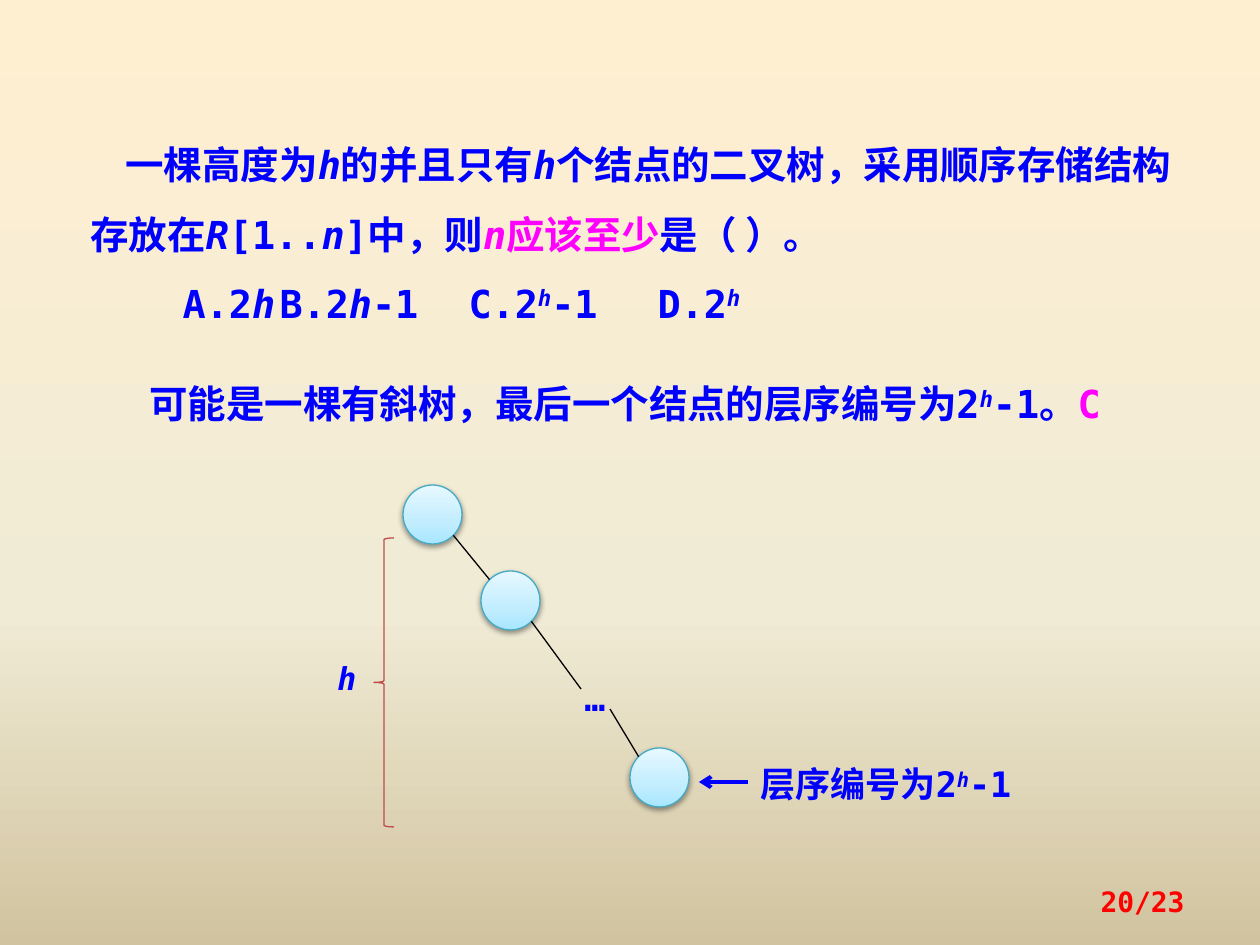
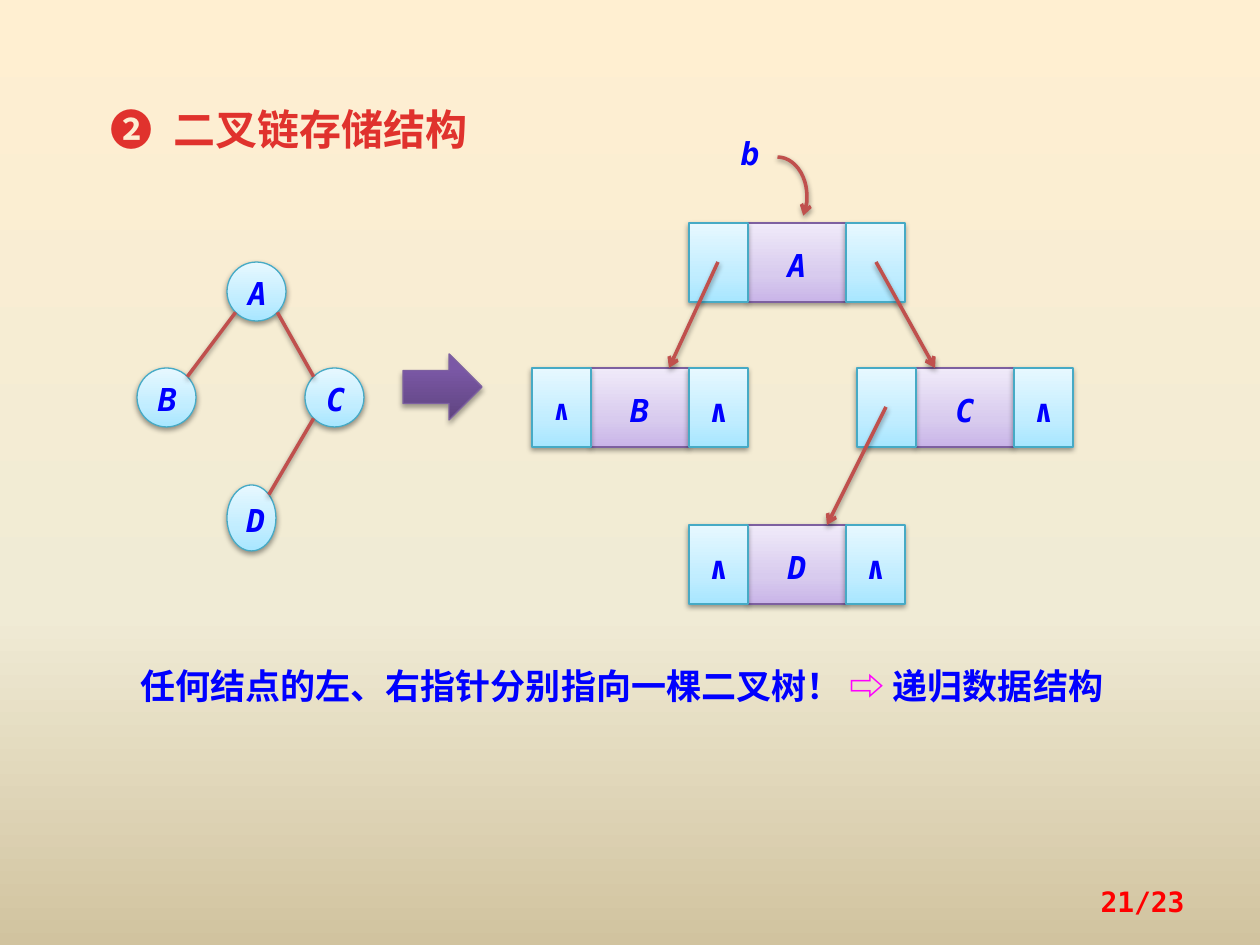
from lxml import etree
from pptx import Presentation
from pptx.dml.color import RGBColor
from pptx.enum.shapes import MSO_CONNECTOR, MSO_SHAPE
from pptx.enum.text import MSO_ANCHOR, MSO_AUTO_SIZE, PP_ALIGN
from pptx.oxml.ns import qn
from pptx.util import Pt

PIXEL = 914400 / 126
FONT = "DejaVu Sans Mono"
STRAIGHT = MSO_CONNECTOR.STRAIGHT
OVAL, RECTANGLE = MSO_SHAPE.OVAL, MSO_SHAPE.RECTANGLE
LEFT, CENTER, RIGHT = PP_ALIGN.LEFT, PP_ALIGN.CENTER, PP_ALIGN.RIGHT
TOP, MIDDLE = MSO_ANCHOR.TOP, MSO_ANCHOR.MIDDLE

BLUE = RGBColor(0x00, 0x00, 0xFF)
MAGENTA = RGBColor(0xFF, 0x00, 0xFF)
RED = RGBColor(0xFF, 0x00, 0x00)
TITLE_RED = RGBColor(0xE0, 0x32, 0x2D)
BRICK = RGBColor(0xC0, 0x50, 0x4D)
BRACE_RED = RGBColor(0xBF, 0x4C, 0x48)
BLACK = RGBColor(0x00, 0x00, 0x00)
CYAN = RGBColor(0x46, 0xAA, 0xC5)
PURPLE = RGBColor(0x7D, 0x60, 0xA0)

# Gradients: (angle, stops); filled shapes run from bottom to top
BACKGROUND = (90, [(0, "FFEFD1"), (65, "F0EBD5"), (100, "D1C39F")])
CYAN_FILL = (270, [(0, "A7E6FF"), (35, "C1EDFF"), (100, "E7F8FF")])
PURPLE_FILL = (270, [(0, "C9B5E8"), (35, "D8CBEE"), (100, "F0EAF9")])
DARK_FILL = (270, [(0, "5F4480"), (80, "7B58A6"), (100, "7C57A8")])

# Content: runs are (text, marks), i italic, s superscript, m magenta
QUESTION = [("一棵高度为", ""), ("h", "i"), ("的并且只有", ""), ("h", "i"),
            ("个结点的二叉树，采用顺序存储结构存放在", ""), ("R", "i"), ("[1..", ""),
            ("n", "i"), ("]中，则", ""), ("n", "im"), ("应该至少", "m"), ("是（ ）。", "")]
OPTIONS = [("A.2", ""), ("h", "i"), ("\tB.2", ""), ("h", "i"), ("-1\tC.2", ""),
           ("h", "is"), ("-1\tD.2", ""), ("h", "is")]
OPTION_TABS = [322, 577, 845]
ANSWER = [("可能是一棵有斜树，最后一个结点的层序编号为2", ""), ("h", "is"),
          ("-1。", ""), ("C", "m")]
LAST_NUMBER = [("层序编号为2", ""), ("h", "is"), ("-1", "")]
TITLE = [("❷\t二叉链存储结构", "")]
SUMMARY = [("任何结点的左、右指针分别指向一棵二叉树！ ", ""), ("⇨", "m"),
           (" 递归数据结构", "")]

CIRCLE = 59
SKEW_TREE = [(403, 485, CIRCLE, CIRCLE), (481, 571, CIRCLE, CIRCLE),
             (630, 748, CIRCLE, CIRCLE)]
TREE = {"B": (137, 368, CIRCLE, CIRCLE), "A": (227, 262, CIRCLE, CIRCLE),
        "C": (305, 368, CIRCLE, CIRCLE), "D": (227, 485, 49, 66)}
TREE_EDGES = [("A", "B", -1), ("A", "C", 1), ("C", "D", -1)]

# Linked nodes: letter, left, top, left mark, right mark, size of left mark
POINTER_WIDTH, DATA_WIDTH, NODE_HEIGHT = 59, 98, 79
NIL = "∧"
LINKED_NODES = [("A", 689, 223, "", "", 18), ("B", 532, 368, NIL, NIL, 16),
                ("C", 857, 368, "", NIL, 18), ("D", 689, 525, NIL, NIL, 18)]
POINTERS = [((718, 262), (669, 368)), ((876, 262), (935, 368)),
            ((886, 407), (827, 525))]


def px(*values):
    return [round(value * PIXEL) for value in values]


def set_gradient(fill, owner, gradient):
    """Give fill, whose XML lies in owner, the stops and angle of gradient."""
    angle, stops = gradient
    fill.gradient()
    element = owner.find(".//" + qn("a:gradFill"))
    stop_list = element.find(qn("a:gsLst"))
    for stop in list(stop_list):
        stop_list.remove(stop)
    for position, color in stops:
        stop = etree.SubElement(stop_list, qn("a:gs"), pos=str(position * 1000))
        etree.SubElement(stop, qn("a:srgbClr"), val=color)
    element.find(qn("a:lin")).set("ang", str(angle * 60000))


def set_effect(shape, alpha=0, distance=1.6):
    """Replace the theme shadow by a soft one below, or by none."""
    properties = shape._element.spPr
    effects = properties.find(qn("a:effectLst"))
    if effects is None:
        effects = etree.SubElement(properties, qn("a:effectLst"))
    if alpha:
        shadow = etree.SubElement(effects, qn("a:outerShdw"), blurRad=str(Pt(3.1)),
                                  dist=str(Pt(distance)), dir="5400000", rotWithShape="0")
        color = etree.SubElement(shadow, qn("a:srgbClr"), val="000000")
        etree.SubElement(color, qn("a:alpha"), val=str(alpha * 1000))


def set_line(shape, color, width, arrow=False):
    shape.line.color.rgb = color
    shape.line.width = Pt(width)
    if arrow:
        etree.SubElement(shape.line._get_or_add_ln(), qn("a:tailEnd"), type="arrow")


def write(paragraph, runs, size, color=BLUE, align=LEFT, spacing=1.0, indent=0, tabs=()):
    paragraph.alignment = align
    paragraph.line_spacing = spacing
    paragraph.space_before = Pt(0)
    properties = paragraph._p.get_or_add_pPr()
    properties.set("marL", "0")
    properties.set("indent", str(px(indent)[0]))
    etree.SubElement(properties, qn("a:buNone"))
    if tabs:
        tab_list = etree.SubElement(properties, qn("a:tabLst"))
        for position in px(*tabs):
            etree.SubElement(tab_list, qn("a:tab"), pos=str(position), algn="l")
    font = paragraph.font
    font.name, font.size, font.bold = FONT, Pt(size), True
    font.color.rgb = color
    for text, marks in runs:
        run = paragraph.add_run()
        run.text = text
        if "i" in marks:
            run.font.italic = True
        if "m" in marks:
            run.font.color.rgb = MAGENTA
        if "s" in marks:
            run._r.get_or_add_rPr().set("baseline", "30000")


def set_frame(shape, anchor=TOP):
    frame = shape.text_frame
    frame.word_wrap = True
    frame.auto_size = MSO_AUTO_SIZE.NONE
    frame.vertical_anchor = anchor
    return frame


def place(shape, box):
    shape.left, shape.top, shape.width, shape.height = px(*box)


def add_text(shapes, box, runs, size, anchor=TOP, **style):
    frame = set_frame(shapes.add_textbox(*px(*box)), anchor)
    write(frame.paragraphs[0], runs, size, **style)


def add_filled(shapes, kind, box, gradient, line, text="", marks="", size=18,
               alpha=38, distance=1.6):
    shape = shapes.add_shape(kind, *px(*box))
    shape.shadow.inherit = False
    set_gradient(shape.fill, shape._element.spPr, gradient)
    set_line(shape, line, 0.75)
    set_effect(shape, alpha, distance)
    if text:
        write(set_frame(shape, MIDDLE).paragraphs[0], [(text, marks)], size,
              align=CENTER, spacing=1.1)


def add_outline(shapes, kind, box, color, width, arrow=False):
    shape = shapes.add_shape(kind, *px(*box))
    shape.shadow.inherit = False
    shape.fill.background()
    set_line(shape, color, width, arrow)
    return shape


def add_line(shapes, start, end, color, width, arrow=False, alpha=0):
    line = shapes.add_connector(STRAIGHT, *px(*start, *end))
    set_line(line, color, width, arrow)
    set_effect(line, alpha)


def diagonal(box, across, down):
    """Point of an ellipse halfway between two of its axes."""
    left, top, width, height = box
    return (left + width * (0.5 + 0.354 * across), top + height * (0.5 + 0.354 * down))


def add_page_number(slide, number):
    add_text(slide.shapes, (903, 876, 294, 50), [(f"{number}/23", "")], 16,
             anchor=MIDDLE, color=RED, align=RIGHT)


presentation = Presentation()
presentation.slide_width, presentation.slide_height = px(1260, 945)
master = presentation.slide_master
set_gradient(master.background.fill, master._element.cSld, BACKGROUND)

# Slide 20: question, with the title placeholder dropped
slide = presentation.slides.add_slide(presentation.slide_layouts[1])
title = slide.shapes.title
title._element.getparent().remove(title._element)
body = slide.placeholders[1]
place(body, (78, 112, 1123, 223))
frame = set_frame(body)
write(frame.paragraphs[0], QUESTION, 22, spacing=1.5, indent=35)
write(frame.add_paragraph(), OPTIONS, 22, spacing=1.5, indent=92, tabs=OPTION_TABS)
add_text(slide.shapes, (137, 368, 1014, 66), ANSWER, 22, spacing=Pt(30))

# Skew tree with its height and last number
shapes = slide.shapes.add_group_shape().shapes
for box in SKEW_TREE:
    add_filled(shapes, OVAL, box, CYAN_FILL, CYAN)
first, second, last = SKEW_TREE
for start, end in [(diagonal(first, 1, 1), diagonal(second, -1, -1)),
                   (diagonal(second, 1, 1), (581, 689)),
                   ((610, 709), diagonal(last, -1, -1))]:
    add_line(shapes, start, end, BLACK, 0.75)
add_text(shapes, (572, 677, 69, 48), [("…", "")], 20, spacing=Pt(20))
add_line(shapes, (748, 782), (699, 782), BLUE, 2.25, arrow=True)
add_text(shapes, (748, 746, 286, 60), LAST_NUMBER, 20, spacing=Pt(30))
add_outline(shapes, MSO_SHAPE.LEFT_BRACE, (374, 538, 20, 289), BRACE_RED, 0.75)
add_text(shapes, (325, 656, 69, 48), [("h", "i")], 18, spacing=Pt(20))
add_page_number(slide, 20)

# Slide 21: linked storage
slide = presentation.slides.add_slide(presentation.slide_layouts[5])
title = slide.shapes.title
place(title, (98, 92, 452, 69))
write(set_frame(title).paragraphs[0], TITLE, 24, color=TITLE_RED, spacing=1.1, tabs=[65])

# Binary tree
shapes = slide.shapes.add_group_shape().shapes
for letter, box in TREE.items():
    add_filled(shapes, OVAL, box, CYAN_FILL, CYAN, letter, "i")
for parent, child, side in TREE_EDGES:
    add_line(shapes, diagonal(TREE[parent], side, 1), diagonal(TREE[child], -side, -1),
             BRICK, 2, alpha=38)

# Linked nodes with pointers and the root pointer b
shapes = slide.shapes.add_group_shape().shapes
for letter, left, top, left_mark, right_mark, left_size in LINKED_NODES:
    middle = left + POINTER_WIDTH
    add_filled(shapes, RECTANGLE, (middle, top, DATA_WIDTH, NODE_HEIGHT),
               PURPLE_FILL, PURPLE, letter, "i")
    for x, mark, size in [(middle + DATA_WIDTH, right_mark, 18), (left, left_mark, left_size)]:
        add_filled(shapes, RECTANGLE, (x, top, POINTER_WIDTH, NODE_HEIGHT),
                   CYAN_FILL, CYAN, mark, size=size)
for start, end in POINTERS:
    add_line(shapes, start, end, BRICK, 2, arrow=True, alpha=38)
arc = add_outline(shapes, MSO_SHAPE.ARC, (748, 157, 59, 79), BRICK, 2, arrow=True)
arc.adjustments[0], arc.adjustments[1] = 162, 21.94
set_effect(arc, 38)
add_text(shapes, (728, 131, 69, 48), [("b", "i")], 18, spacing=Pt(20))

# Arrow between the two views, and the summary
add_filled(slide.shapes, MSO_SHAPE.RIGHT_ARROW, (403, 354, 79, 66), DARK_FILL, PURPLE,
           alpha=35, distance=1.8)
add_text(slide.shapes, (128, 648, 1092, 66), SUMMARY, 20, spacing=Pt(30))
add_page_number(slide, 21)

presentation.save("out.pptx")
